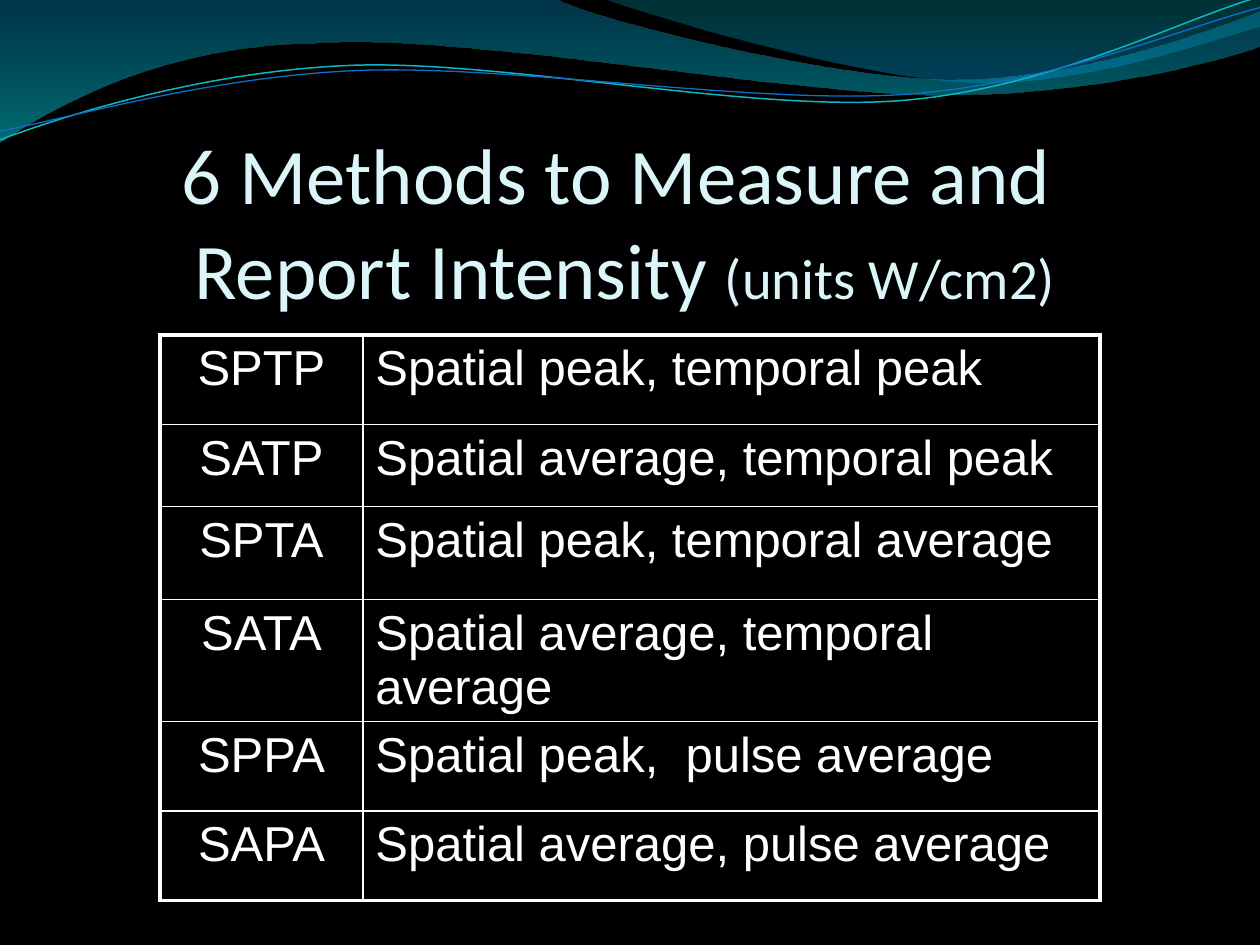
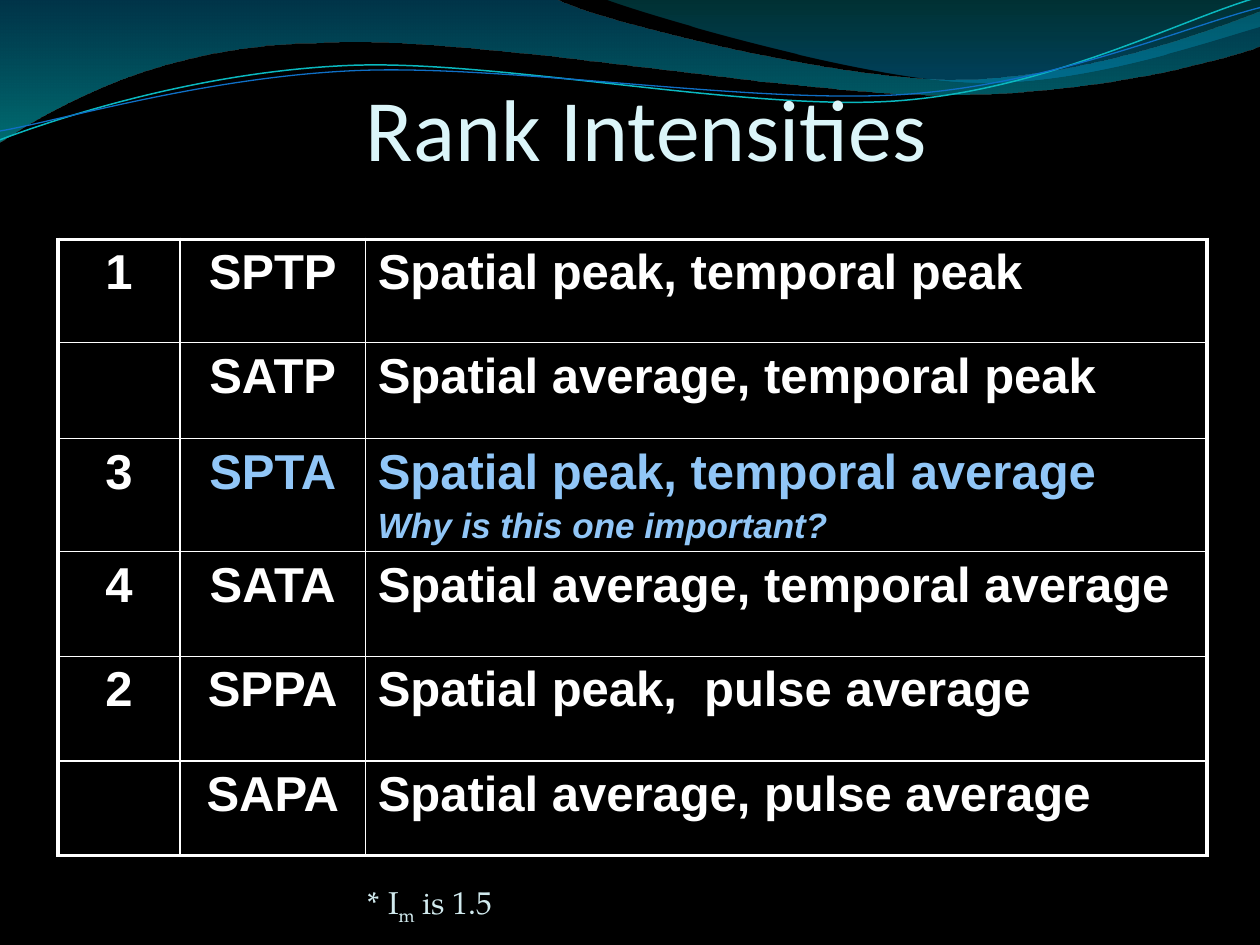
from math import cos, radians, sin

from lxml import etree
from pptx import Presentation
from pptx.dml.color import RGBColor
from pptx.enum.text import MSO_ANCHOR, MSO_AUTO_SIZE, PP_ALIGN
from pptx.oxml.ns import qn
from pptx.util import Inches, Pt

LEFT, CENTER = PP_ALIGN.LEFT, PP_ALIGN.CENTER
BOTTOM = MSO_ANCHOR.BOTTOM
NO_AUTOFIT = MSO_AUTO_SIZE.NONE

COLUMNS, ROWS = 10, 7.5
TITLE_ONLY_LAYOUT = 5
STRAND_ANGLE = 357.3
THICK, THIN = 2.25, 1

COLORS = {
    "background": "000000", "title": "DBF5F9", "text": "FFFFFF",
    "highlight": "91C6F7", "note": "D1EAEE", "border": "FFFFFF",
    "wave_top": "0074A1", "wave_bottom": "00C6CF",
    "crest_top": "00A1A9", "crest_bottom": "008BBF",
    "teal_line": "0AB8BF", "blue_line": "0F6FC6",
}
FONTS = {"title": "Calibri", "table": "Arial", "note": "TeX Gyre Pagella"}

BANDS = [
    ((-0.01, -0.01, 10.02, 1.14),
     [(0, -0.01), (4.4, -0.01),
      (4.76, 0.17, 6.64, 0.63, 7.58, 0.63), (8.53, 0.63, 9.58, 0.26, 10, 0.09),
      (10.01, 0.36),
      (9.83, 0.44, 8.7, 0.76, 7.46, 0.75), (6.22, 0.75, 3.82, 0.28, 2.57, 0.34),
      (1.29, 0.35, 0.46, 0.83, -0.01, 1.13), (0, -0.01)],
     [(0, "wave_top", 45), (1, "wave_bottom", 55)]),
    ((4.79, -0.01, 5.21, 0.7),
     [(4.79, -0.01),
      (5.09, 0.11, 6.82, 0.62, 7.69, 0.65), (8.56, 0.69, 9.61, 0.32, 10, 0.21),
      (10, 0), (4.79, -0.01)],
     [(0, "crest_top", 30), (0.8, "crest_bottom", 45)]),
]
STRANDS = [
    ((-0.02, 0.22, 10.02, 0.71),
     [(0, 1.11), (0.48, 0.93, 1.58, 0.57, 2.77, 0.52),
      (3.95, 0.47, 5.93, 0.89, 7.13, 0.8), (8.33, 0.71, 9.38, 0.15, 9.98, -0.02)],
     "teal_line", 0.85),
    ((-0.02, 0.3, 10.03, 0.58),
     [(0, 1.04), (0.47, 0.96, 1.64, 0.61, 2.83, 0.56),
      (4.03, 0.51, 5.97, 0.83, 7.17, 0.75), (8.36, 0.67, 9.41, 0.21, 10, 0.06)],
     "blue_line", 0.75),
]

METHODS = [
    ("SPTP", "Spatial peak, temporal peak"),
    ("SATP", "Spatial average, temporal peak"),
    ("SPTA", "Spatial peak, temporal average"),
    ("SATA", "Spatial average, temporal average"),
    ("SPPA", "Spatial peak,  pulse average"),
    ("SAPA", "Spatial average, pulse average"),
]
RANKS = ["1", "", "3", "4", "2", ""]
KEY_METHOD = "SPTA"


def color(name):
    """Return the named colour."""
    return RGBColor.from_string(COLORS[name])


def grid(*cells):
    """Turn counts of grid cells, one inch each, into lengths."""
    return [Inches(cell) for cell in cells]


def style(paragraph, font, size, color_name, align=LEFT, bold=None, italic=None):
    """Format a whole paragraph."""
    paragraph.alignment = align
    paragraph.font.name = FONTS[font]
    paragraph.font.size = Pt(size)
    paragraph.font.color.rgb = color(color_name)
    paragraph.font.bold = bold
    paragraph.font.italic = italic


def localize(point, box, angle):
    """Express a slide point in the frame of a box turned by an angle."""
    left, top, width, height = box
    across, down = point[0] - left - width / 2, point[1] - top - height / 2
    cosine, sine = cos(radians(angle)), sin(radians(angle))
    return grid(across * cosine + down * sine + width / 2,
                down * cosine - across * sine + height / 2)


def add_outline(slide, box, steps, angle=0, close=False):
    """Draw straight and cubic steps as one freeform filling a box."""
    left, top, width, height = box
    builder = slide.shapes.build_freeform(*grid(left, top))
    builder.add_line_segments([grid(left + width, top + height)], close=close)
    shape = builder.convert_to_shape()
    shape.shadow.inherit = False
    shape.rotation = angle
    outline = next(shape.element.iter(qn("a:path")))
    for child in list(outline):
        outline.remove(child)
    for index, step in enumerate(steps):
        tag = "a:moveTo" if index == 0 else "a:lnTo" if len(step) == 2 else "a:cubicBezTo"
        command = etree.SubElement(outline, qn(tag))
        for point in zip(step[::2], step[1::2]):
            x, y = localize(point, box, angle)
            etree.SubElement(command, qn("a:pt"), x=str(x), y=str(y))
    if close:
        etree.SubElement(outline, qn("a:close"))
    return shape


def add_band(slide, box, steps, stops):
    """Draw a translucent band with a gradient from top to bottom."""
    shape = add_outline(slide, box, steps, close=True)
    shape.line.fill.background()
    shape.fill.gradient()
    shape.fill.gradient_angle = 270
    for stop, (position, color_name, _) in zip(shape.fill.gradient_stops, stops):
        stop.position = position
        stop.color.rgb = color(color_name)
    for node, (_, _, opacity) in zip(shape.element.iter(qn("a:srgbClr")), stops):
        etree.SubElement(node, qn("a:alpha"), val=str(opacity * 1000))
    return shape


def add_strand(slide, box, steps, color_name, width):
    """Draw a thin curved line."""
    shape = add_outline(slide, box, steps, STRAND_ANGLE)
    shape.fill.background()
    shape.line.color.rgb = color(color_name)
    shape.line.width = Pt(width)
    return shape


def decorate_master(presentation, slide):
    """Give the master its background and waves, drawn by way of a slide."""
    master = presentation.slide_master
    master.background.fill.solid()
    master.background.fill.fore_color.rgb = color("background")
    waves = [add_band(slide, *band) for band in BANDS]
    waves += [add_strand(slide, *strand) for strand in STRANDS]
    for number, wave in enumerate(waves, 101):
        next(wave.element.iter(qn("p:cNvPr"))).set("id", str(number))
        master.shapes.element.append(wave.element)


def set_title(slide, box, size):
    """Place the title placeholder and return its styled paragraph."""
    title = slide.shapes.title
    title.left, title.top, title.width, title.height = grid(*box)
    frame = title.text_frame
    frame.auto_size = NO_AUTOFIT
    frame.word_wrap = True
    frame.vertical_anchor = BOTTOM
    frame.margin_left = frame.margin_right = frame.margin_bottom = 0
    frame.margin_top = Inches(0.05)
    paragraph = frame.paragraphs[0]
    style(paragraph, "title", size, "title", CENTER)
    return paragraph


def add_borders(properties, widths):
    """Add left, right, top and bottom borders to a cell's properties."""
    for side, width in zip("LRTB", widths):
        line = etree.SubElement(properties, qn(f"a:ln{side}"), w=str(Pt(width)))
        fill = etree.SubElement(line, qn("a:solidFill"))
        etree.SubElement(fill, qn("a:srgbClr"), val=COLORS["border"])


def add_grid_table(slide, corner, widths, heights, rows, bold=None):
    """Add a bordered table whose last column is left-aligned."""
    frame = slide.shapes.add_table(
        len(heights), len(widths), *grid(*corner, sum(widths), sum(heights)))
    table = frame.table
    table.first_row = table.horz_banding = False
    for column, width in zip(table.columns, widths):
        column.width = Inches(width)
    for row, height in zip(table.rows, heights):
        row.height = Inches(height)
    last_row, last_column = len(heights) - 1, len(widths) - 1
    for index, (cell, node) in enumerate(zip(table.iter_cells(), frame.element.iter(qn("a:tc")))):
        row, column = divmod(index, len(widths))
        outer = (column == 0, column == last_column, row == 0, row == last_row)
        add_borders(node.get_or_add_tcPr(), [THICK if edge else THIN for edge in outer])
        cell.fill.background()
        cell.text = rows[row][column]
        style(cell.text_frame.paragraphs[0], "table", 28, "text",
              LEFT if column == last_column else CENTER, bold)
    return table


def highlight_row(cells, question):
    """Colour the cells of a key method and add a question to the last one."""
    for cell in cells:
        cell.text_frame.paragraphs[0].font.color.rgb = color("highlight")
    paragraph = cells[-1].text_frame.add_paragraph()
    paragraph.text = question
    paragraph.space_before = Pt(4)
    style(paragraph, "table", 20, "highlight", bold=True, italic=True)


def add_note(slide, box, parts):
    """Add a note whose second part is a subscript."""
    note = slide.shapes.add_textbox(*grid(*box))
    frame = note.text_frame
    frame.word_wrap = True
    frame.vertical_anchor = BOTTOM
    frame.margin_left = frame.margin_top = frame.margin_right = frame.margin_bottom = 0
    paragraph = frame.paragraphs[0]
    style(paragraph, "note", 18, "note")
    for part in parts:
        paragraph.add_run().text = part
    subscript = list(note.element.iter(qn("a:r")))[1]
    subscript.get_or_add_rPr().set("baseline", "-25000")


def build_methods_slide(slide):
    """List the six ways to report intensity."""
    heading = set_title(slide, (0.67, 1.25, 8.58, 1.25), 45)
    heading.add_run().text = "6 Methods to Measure and "
    heading.add_line_break()
    heading.add_run().text = "Report Intensity "
    units = heading.add_run()
    units.text = "(units W/cm2)"
    units.font.size = Pt(32.4)
    add_grid_table(slide, (1.27, 2.66), (1.61, 5.85),
                   (0.71, 0.65, 0.74, 0.88, 0.71, 0.71), METHODS)


def build_ranking_slide(slide):
    """Rank the six intensities."""
    set_title(slide, (0.67, 0.17, 8.92, 1.25), 50).add_run().text = "Rank Intensities"
    ranked = [(rank, *method) for rank, method in zip(RANKS, METHODS)]
    table = add_grid_table(slide, (0.46, 1.9), (0.97, 1.47, 6.68),
                           (0.82, 0.76, 0.87, 0.83, 0.83, 0.75), ranked, bold=True)
    key_row = [name for name, _ in METHODS].index(KEY_METHOD)
    highlight_row([table.cell(key_row, column) for column in (1, 2)],
                  "Why is this one important?")
    add_note(slide, (2.92, 6.95, 3.67, 0.4), ("* I", "m", " is 1.5"))


def main():
    """Build and save the presentation."""
    presentation = Presentation()
    presentation.slide_width, presentation.slide_height = grid(COLUMNS, ROWS)
    layout = presentation.slide_layouts[TITLE_ONLY_LAYOUT]
    methods, ranking = [presentation.slides.add_slide(layout) for _ in range(2)]
    decorate_master(presentation, methods)
    build_methods_slide(methods)
    build_ranking_slide(ranking)
    presentation.save("out.pptx")


if __name__ == "__main__":
    main()
